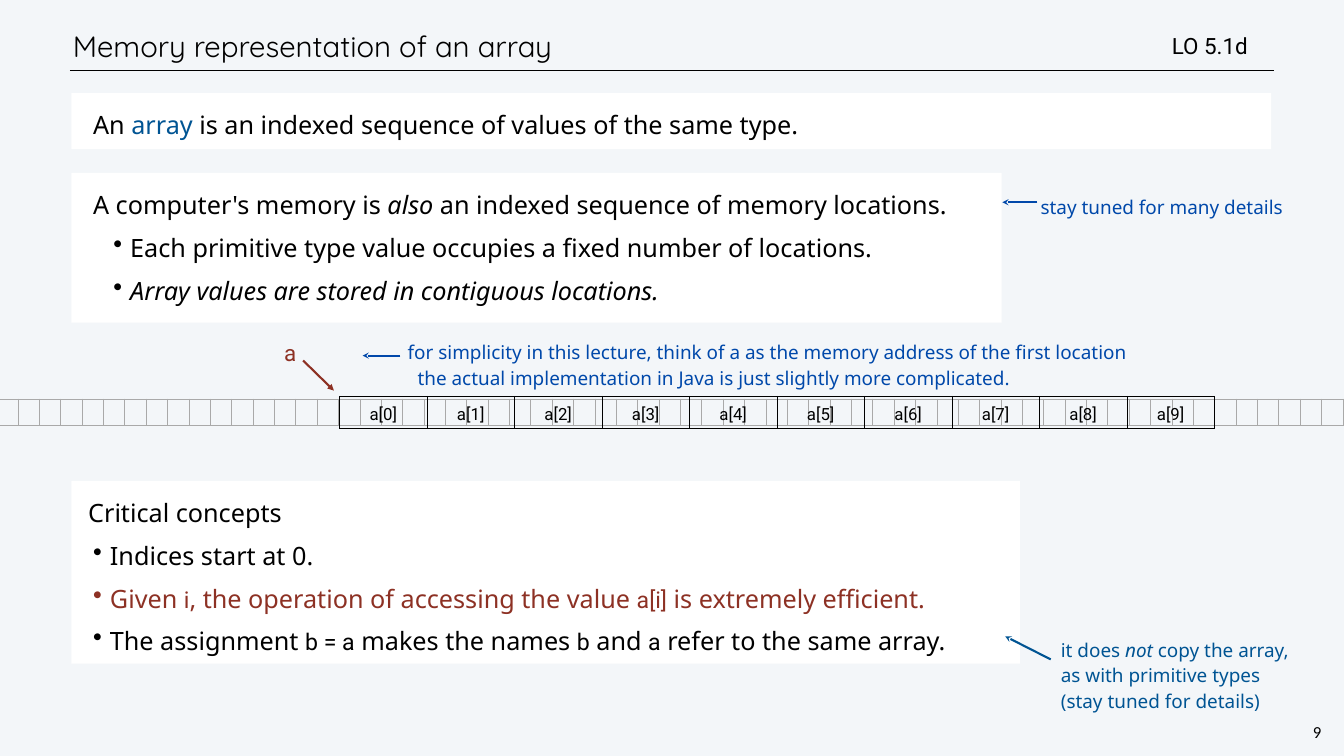
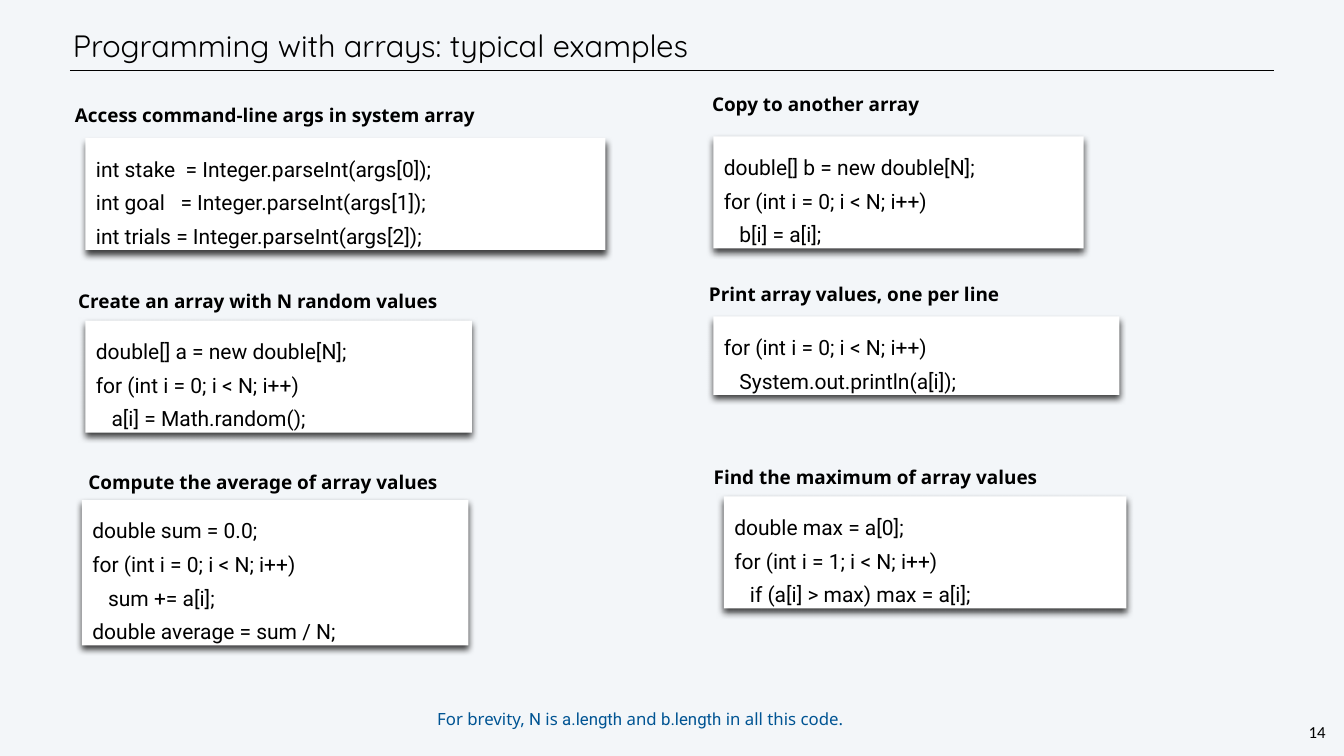
"""Build two lecture slides about arrays: memory representation and typical examples."""
from lxml.etree import SubElement
from pptx import Presentation
from pptx.dml.color import RGBColor
from pptx.enum.shapes import MSO_CONNECTOR, MSO_SHAPE
from pptx.enum.text import MSO_ANCHOR, PP_ALIGN
from pptx.oxml.ns import qn
from pptx.util import Pt

BACKGROUND = RGBColor(0xF3, 0xF6, 0xF9)
WHITE = RGBColor(0xFF, 0xFF, 0xFF)
BLACK = RGBColor(0x00, 0x00, 0x00)
GRAY = RGBColor(0xA9, 0xA9, 0xA9)
BLUE = RGBColor(0x00, 0x48, 0xAA)
TEAL = RGBColor(0x00, 0x54, 0x93)
RED = RGBColor(0x8D, 0x31, 0x24)

TITLE = {"name": "Quicksand", "size": Pt(42), "color": BLACK}
BODY = {"name": "Noto Sans", "size": Pt(36), "color": BLACK}
NOTE = {"name": "Noto Sans", "size": Pt(27), "color": BLUE}
HEADING = {"name": "Noto Sans", "size": Pt(27), "color": BLACK, "bold": True}
CODE = {"name": "Roboto", "size": Pt(30), "color": BLACK}
LABEL = {"name": "Roboto", "size": Pt(32), "color": BLACK}
CELL = {"name": "Roboto", "size": Pt(24), "color": BLACK}
FOOTNOTE = {"name": "Noto Sans", "size": Pt(24), "color": TEAL}
PAGE_NUMBER = {"name": "Calibri", "size": Pt(24), "color": BLACK}
INLINE_CODE = {"name": "Roboto", "size": Pt(33)}
RED_CODE = {**INLINE_CODE, "color": RED}
ITALIC = {"italic": True}
IN_RED = {"color": RED}

BODY_LINE = {"line_spacing": Pt(43)}
BULLET = {**BODY_LINE, "level": 1, "space_before": Pt(18), "bullet": "•", "indent": -24}
NOTE_LINE = {"line_spacing": 1.1, "margin": 6.5}
CENTERED = {"alignment": PP_ALIGN.CENTER}


def write_text(frame, paragraphs, font, common):
    """Fill a text frame with (runs, format) paragraphs."""
    for index, (runs, changes) in enumerate(paragraphs):
        paragraph = frame.add_paragraph() if index else frame.paragraphs[0]
        values = {"alignment": PP_ALIGN.LEFT, "space_before": Pt(0), **common, **changes}
        properties = paragraph._p.get_or_add_pPr()
        properties.set("marL", str(Pt(values.pop("margin", 0))))
        properties.set("indent", str(Pt(values.pop("indent", 0))))
        if "bullet" in values:
            SubElement(properties, qn("a:buSzPct"), val="104000")
            SubElement(properties, qn("a:buChar"), char=values.pop("bullet"))
        for name, value in values.items():
            setattr(paragraph, name, value)
        for item in runs:
            text, style = (item, {}) if isinstance(item, str) else item
            run = paragraph.add_run()
            run.text = text
            for name, value in {**font, **style}.items():
                if name == "color":
                    run.font.color.rgb = value
                else:
                    setattr(run.font, name, value)


def add_box(slide, position, paragraphs, font, common, inset=4, wrap=True,
            filled=False, anchor=MSO_ANCHOR.TOP):
    """Add a text box, or a white rectangle with text."""
    lengths = [Pt(value) for value in position]
    if filled:
        shape = slide.shapes.add_shape(MSO_SHAPE.RECTANGLE, *lengths)
        shape.shadow.inherit = False
        shape.fill.solid()
        shape.fill.fore_color.rgb = WHITE
        shape.line.fill.background()
    else:
        shape = slide.shapes.add_textbox(*lengths)
    frame = shape.text_frame
    frame.word_wrap = wrap
    frame.vertical_anchor = anchor
    for side in ("left", "top", "right", "bottom"):
        setattr(frame, f"margin_{side}", Pt(inset))
    write_text(frame, paragraphs, font, common)
    return shape


presentation = Presentation()
presentation.slide_width = Pt(1920)
presentation.slide_height = Pt(1080)

slides = []
for title, title_size, number in (
    ("Memory representation of an array", 42, "9"),
    ("Programming with arrays: typical examples", 44, "14"),
):
    slide = presentation.slides.add_slide(presentation.slide_layouts[6])
    slide.background.fill.solid()
    slide.background.fill.fore_color.rgb = BACKGROUND
    add_box(slide, (100, 30, 1629, 71), [([title], {})], {**TITLE, "size": Pt(title_size)},
            {"line_spacing": Pt(50)}, anchor=MSO_ANCHOR.MIDDLE)
    add_box(slide, (1866, 1029, 31, 34), [([number], {})], PAGE_NUMBER,
            {**CENTERED, "line_spacing": Pt(28)}, inset=3, wrap=False)
    slides.append(slide)
memory_slide, examples_slide = slides

add_box(memory_slide, (1670, 42, 215, 47), [(["LO 5.1d"], {})], LABEL, {},
        anchor=MSO_ANCHOR.MIDDLE)

statements = (
    ((102, 133, 1714, 80), [
        (["An ", ("array", {"color": TEAL}),
          " is an indexed sequence of values of the same type."], {"indent": 7}),
    ]),
    ((102, 247, 1329, 214), [
        (["A computer's memory is ", ("also", ITALIC),
          " an indexed sequence of memory locations."], {"indent": 7}),
        (["Each primitive type value occupies a fixed number of locations."],
         {**BULLET, "margin": 60}),
        ([("Array values are stored in contiguous locations.", ITALIC)],
         {**BULLET, "margin": 60}),
    ]),
    ((102, 687, 1355, 261), [
        (["Critical concepts"], {}),
        (["Indices start at 0."], {**BULLET, "margin": 31}),
        ([("Given ", IN_RED), ("i", RED_CODE),
          (", the operation of accessing the value ", IN_RED), ("a[i]", RED_CODE),
          (" is extremely efficient.", IN_RED)], {**BULLET, "margin": 31}),
        (["The assignment ", ("b = a", INLINE_CODE), " makes the names ", ("b", INLINE_CODE),
          " and ", ("a", INLINE_CODE), " refer to the same array."],
         {**BULLET, "margin": 31}),
    ]),
)
for position, paragraphs in statements:
    add_box(memory_slide, position, paragraphs, BODY, BODY_LINE, inset=24, filled=True)

memory_cells = (-5, 570, 30.55, 37, GRAY, [""] * 65)
array_cells = (485, 566, 125, 46, BLACK, [f"a[{index}]" for index in range(10)])
for left, top, column_width, height, border, labels in (memory_cells, array_cells):
    table = memory_slide.shapes.add_table(
        1, len(labels), Pt(left), Pt(top), Pt(column_width * len(labels)), Pt(height)).table
    table.first_row = False
    table.horz_banding = False
    table.rows[0].height = Pt(height)
    for column, label in enumerate(labels):
        table.columns[column].width = Pt(column_width)
        cell = table.cell(0, column)
        cell.vertical_anchor = MSO_ANCHOR.MIDDLE
        for side in ("left", "top", "right", "bottom"):
            setattr(cell, f"margin_{side}", Pt(3))
        if label:
            write_text(cell.text_frame, [([label], {})], CELL,
                       {**CENTERED, "line_spacing": Pt(34)})
        for edge in ("lnL", "lnR", "lnT", "lnB"):
            line = SubElement(cell._tc.get_or_add_tcPr(), qn(f"a:{edge}"), w=str(Pt(1)))
            SubElement(SubElement(line, qn("a:solidFill")), qn("a:srgbClr"), val=str(border))
        cell.fill.background()

notes = (
    ((1468, 264, 405, 56), BLUE, [(["stay tuned for many details"], {})]),
    ((1497, 897, 387, 127), TEAL, [
        (["it does ", ("not", ITALIC), " copy the array, as with primitive types"], {}),
        (["(stay tuned for details)"], {"space_before": Pt(1)}),
    ]),
    ((557, 472, 1161, 81), BLUE, [
        (["for simplicity in this lecture, think of a as the memory address"
          " of the first location"], {"margin": 13.5}),
        (["the actual implementation in Java is just slightly more complicated."],
         {"margin": 27.5, "space_before": Pt(1)}),
    ]),
)
for position, color, paragraphs in notes:
    add_box(memory_slide, position, paragraphs, {**NOTE, "color": color}, NOTE_LINE, inset=12)
add_box(memory_slide, (401, 477, 27, 46), [(["a"], {})], {**LABEL, "color": RED},
        {**CENTERED, "line_spacing": 1.1}, wrap=False)

title_rules = [(slide, (100, 101, 1820, 101), BLACK, 1, None) for slide in slides]
arrows = [
    (memory_slide, (1482, 289, 1432, 289), BLUE, 3, "stealth"),
    (memory_slide, (1501, 942, 1436, 909), TEAL, 3, "stealth"),
    (memory_slide, (433, 515, 477, 558), RED, 3, "triangle"),
    (memory_slide, (572, 508, 518, 508), BLUE, 3, "stealth"),
]
for slide, ends, color, width, head in title_rules + arrows:
    connector = slide.shapes.add_connector(
        MSO_CONNECTOR.STRAIGHT, *[Pt(value) for value in ends])
    connector.line.color.rgb = color
    connector.line.width = Pt(width)
    if head:
        SubElement(connector.line._get_or_add_ln(), qn("a:tailEnd"), type=head)
    SubElement(connector._element.spPr, qn("a:effectLst"))

examples = (
    ("Access command-line args in system array", (87, 144, 611), (122, 197, 743, 160), [
        "int stake  = Integer.parseInt(args[0]);",
        "int goal   = Integer.parseInt(args[1]);",
        "int trials = Integer.parseInt(args[2]);",
    ]),
    ("Create an array with N random values", (100, 410, 536), (122, 458, 552, 160), [
        "double[] a = new double[N];",
        "for (int i = 0; i < N; i++)",
        "   a[i] = Math.random();",
    ]),
    ("Compute the average of array values", (114, 669, 523), (117, 714, 552, 208), [
        "double sum = 0.0;",
        "for (int i = 0; i < N; i++)",
        "   sum += a[i];",
        "double average = sum / N;",
    ]),
    ("Copy to another array", (1008, 129, 314), (1019, 195, 529, 160), [
        "double[] b = new double[N];",
        "for (int i = 0; i < N; i++)",
        "   b[i] = a[i];",
    ]),
    ("Print array values, one per line", (1002, 400, 436), (1019, 452, 580, 112), [
        "for (int i = 0; i < N; i++)",
        "   System.out.println(a[i]);",
    ]),
    ("Find the maximum of array values", (1008, 662, 485), (1034, 709, 575, 160), [
        "double max = a[0];",
        "for (int i = 1; i < N; i++)",
        "   if (a[i] > max) max = a[i];",
    ]),
)
for heading, heading_position, code_position, code_lines in examples:
    code_box = add_box(examples_slide, code_position, [([line], {}) for line in code_lines],
                       CODE, {"line_spacing": Pt(48), "margin": 1}, inset=14, filled=True)
    effects = code_box._element.spPr.find(qn("a:effectLst"))
    shadow = SubElement(effects, qn("a:outerShdw"), blurRad=str(Pt(10)), dist=str(Pt(6)),
                        dir="5400000", rotWithShape="0")
    shadow_color = SubElement(shadow, qn("a:srgbClr"), val=str(BLACK))
    SubElement(shadow_color, qn("a:alpha"), val="75000")
    add_box(examples_slide, (*heading_position, 40), [([heading], {})], HEADING,
            {**CENTERED, "line_spacing": Pt(32)}, wrap=False)

code_font = {"name": "Roboto"}
add_box(examples_slide, (607, 1009, 615, 37), [
    (["For brevity, ", ("N", code_font), " is ", ("a.length", code_font), " and ",
      ("b.length", code_font), " in all this code."], {}),
], FOOTNOTE, {**CENTERED, "line_spacing": Pt(28)}, wrap=False)

presentation.save("out.pptx")
